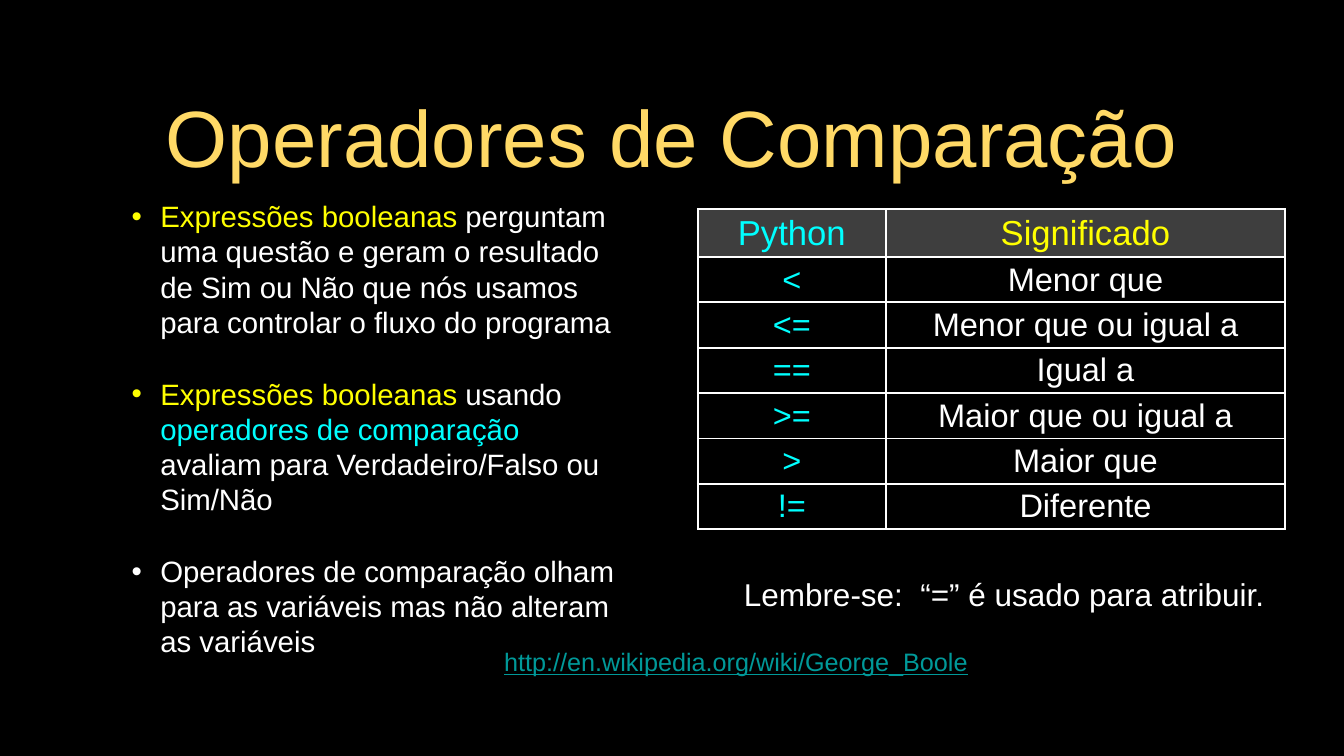
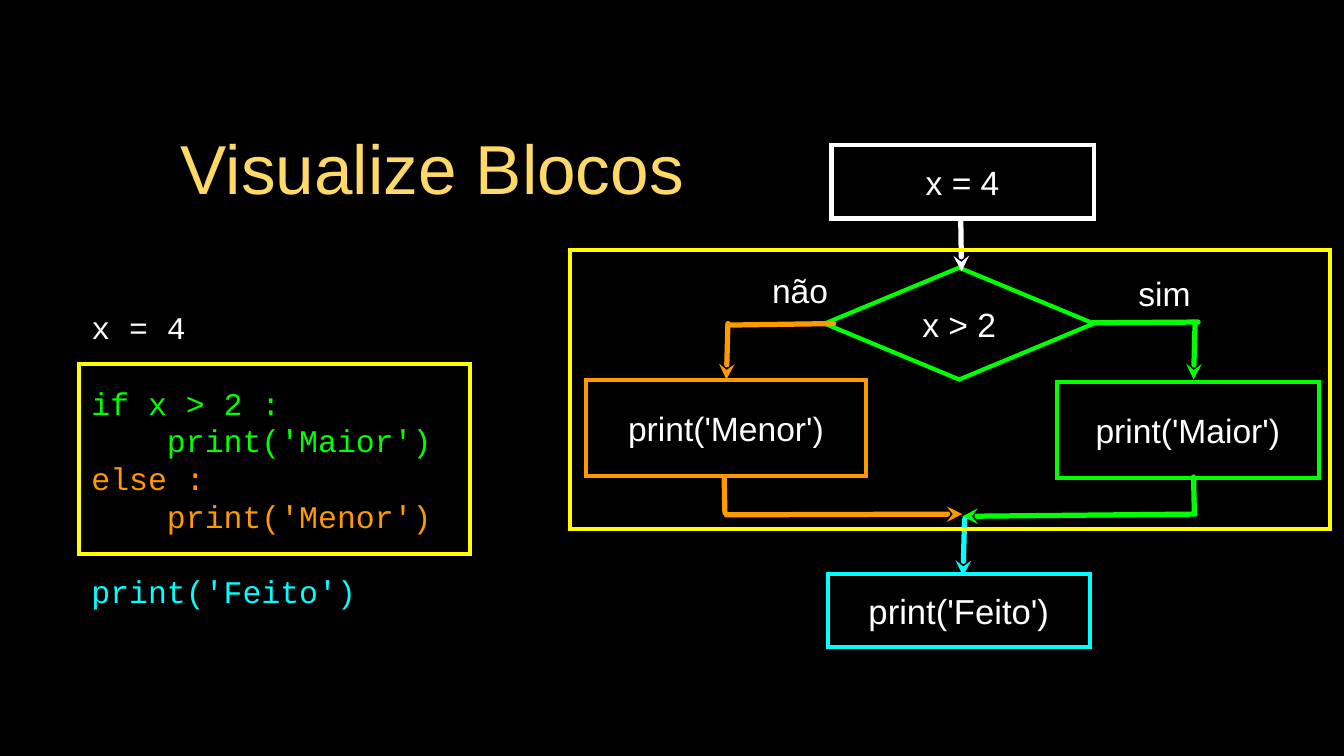
from lxml import etree
from pptx import Presentation
from pptx.dml.color import RGBColor
from pptx.enum.shapes import MSO_CONNECTOR, MSO_SHAPE
from pptx.enum.text import MSO_ANCHOR, MSO_AUTO_SIZE, PP_ALIGN
from pptx.oxml.ns import qn
from pptx.util import Inches, Pt

COLORS = {
    "background": "000000",
    "title": "FFD966",
    "text": "FFFFFF",
    "yellow": "FFFF00",
    "cyan": "00FFFF",
    "green": "00FF00",
    "orange": "FF9900",
    "link": "009999",
    "header": "7F7F7F",
}
SANS = "Arial"
MONO = "Courier New"


def rgb(color):
    return RGBColor.from_string(COLORS[color])


def style_font(font, size, color, name=SANS):
    font.name = name
    font.size = Pt(size)
    font.color.rgb = rgb(color)


def set_frame(frame, margin=0.0):
    frame.word_wrap = True
    frame.auto_size = MSO_AUTO_SIZE.NONE
    frame.vertical_anchor = MSO_ANCHOR.MIDDLE
    frame.margin_left = frame.margin_right = Inches(margin)
    frame.margin_top = frame.margin_bottom = Inches(margin)


def write_line(frame, text, size, color):
    paragraph = frame.paragraphs[0]
    paragraph.text = text
    paragraph.alignment = PP_ALIGN.CENTER
    style_font(paragraph.font, size, color)
    return paragraph


def add_titled_slide(prs, text, box, size):
    slide = prs.slides.add_slide(prs.slide_layouts[5])
    title = slide.shapes.title
    title.left, title.top, title.width, title.height = map(Inches, box)
    set_frame(title.text_frame, 0.04)
    write_line(title.text_frame, text, size, "title")
    return slide


def add_footer_band(prs, slide):
    band = slide.shapes.add_shape(
        MSO_SHAPE.RECTANGLE, *map(Inches, (0, 9.14, 17.78, 0.86)))
    band.shadow.inherit = False
    band.fill.solid()
    band.fill.fore_color.rgb = rgb("background")
    band.line.fill.background()
    prs.slide_master.shapes._spTree.append(band._element)


def add_frame(slide, box, margin=0.0):
    frame = slide.shapes.add_textbox(*map(Inches, box)).text_frame
    set_frame(frame, margin)
    return frame


def add_label(slide, box, text, size, color="text"):
    return write_line(add_frame(slide, box), text, size, color)


def next_paragraph(frame, index):
    return frame.add_paragraph() if index else frame.paragraphs[0]


def add_bullet(paragraph, color):
    props = paragraph._p.get_or_add_pPr()
    props.set("marL", str(Inches(0.82)))
    props.set("indent", str(Inches(-0.38)))
    bullet_color = etree.SubElement(props, qn("a:buClr"))
    etree.SubElement(bullet_color, qn("a:srgbClr"), val=COLORS[color])
    etree.SubElement(props, qn("a:buFont"), typeface=SANS)
    etree.SubElement(props, qn("a:buChar"), char="•")


def add_bullets(slide, box, items):
    frame = add_frame(slide, box, 0.04)
    for index, pieces in enumerate(items):
        paragraph = next_paragraph(frame, index)
        add_bullet(paragraph, pieces[0][1])
        paragraph.line_spacing = Pt(33.5)
        if index:
            paragraph.space_before = Pt(35)
        for text, color in pieces:
            run = paragraph.add_run()
            run.text = text
            style_font(run.font, 28, color)


def add_code(slide, box, lines):
    frame = add_frame(slide, box)
    for index, (text, color, starts_block) in enumerate(lines):
        paragraph = next_paragraph(frame, index)
        paragraph.text = text
        paragraph.line_spacing = Pt(35.8)
        if starts_block:
            paragraph.space_before = Pt(36)
        style_font(paragraph.font, 30, color, MONO)


def add_borders(cell):
    props = cell._tc.get_or_add_tcPr()
    for position, side in enumerate(("lnL", "lnR", "lnT", "lnB")):
        border = etree.Element(qn(f"a:{side}"), w=str(Pt(2)))
        fill = etree.SubElement(border, qn("a:solidFill"))
        etree.SubElement(fill, qn("a:srgbClr"), val=COLORS["text"])
        props.insert(position, border)


def fill_header(cell):
    cell.fill.solid()
    cell.fill.fore_color.rgb = rgb("header")
    shade = cell._tc.tcPr.find(".//" + qn("a:srgbClr"))
    etree.SubElement(shade, qn("a:alpha"), val="49000")


def add_operator_table(slide, box, rows):
    table = slide.shapes.add_table(len(rows), 2, *map(Inches, box)).table
    table.first_row = table.horz_banding = False
    for column, width in zip(table.columns, (2.49, 5.28)):
        column.width = Inches(width)
    for r, row in enumerate(rows):
        is_header = r == 0
        table.rows[r].height = Inches(0.63 if is_header else 0.6)
        meaning_color = "yellow" if is_header else "text"
        for c, (text, color) in enumerate(zip(row, ("cyan", meaning_color))):
            cell = table.cell(r, c)
            cell.margin_left = cell.margin_right = Inches(0.04)
            cell.margin_top = cell.margin_bottom = Inches(0.04)
            cell.vertical_anchor = MSO_ANCHOR.MIDDLE
            write_line(cell.text_frame, text, 33 if is_header else 31, color)
            if is_header:
                fill_header(cell)
            else:
                cell.fill.background()
            add_borders(cell)


def add_outline(slide, box, color, text="", size=32, kind=MSO_SHAPE.RECTANGLE):
    outline = slide.shapes.add_shape(kind, *map(Inches, box))
    outline.shadow.inherit = False
    outline.fill.background()
    outline.line.color.rgb = rgb(color)
    outline.line.width = Pt(4)
    etree.SubElement(outline.line._get_or_add_ln(), qn("a:miter"), lim="800000")
    if text:
        set_frame(outline.text_frame)
        write_line(outline.text_frame, text, size, "text")


def add_flow(slide, start, end, color, arrow=True):
    flow = slide.shapes.add_connector(
        MSO_CONNECTOR.STRAIGHT, *map(Inches, (*start, *end)))
    flow.line.color.rgb = rgb(color)
    flow.line.width = Pt(5)
    stroke = flow.line._get_or_add_ln()
    stroke.set("cap", "rnd")
    if arrow:
        etree.SubElement(stroke, qn("a:tailEnd"), type="stealth")
    etree.SubElement(flow._element.spPr, qn("a:effectLst"))


def build_operators(prs):
    slide = add_titled_slide(
        prs, "Operadores de Comparação", (1.26, 0.82, 15.24, 1.96), 76)
    add_footer_band(prs, slide)
    add_bullets(slide, (1.26, 2.85, 7.05, 5.64), [
        [("Expressões booleanas ", "yellow"),
         ("perguntam uma questão e geram o resultado de Sim ou Não "
          "que nós usamos para controlar o fluxo do programa", "text")],
        [("Expressões booleanas ", "yellow"), ("usando ", "text"),
         ("operadores de comparação ", "cyan"),
         ("avaliam para Verdadeiro/Falso ou Sim/Não", "text")],
        [("Operadores de comparação olham para as variáveis "
          "mas não alteram as variáveis", "text")],
    ])
    source = add_label(slide, (4.79, 8.49, 9.89, 0.53),
                       "http://en.wikipedia.org/wiki/George_Boole", 24, "link")
    source.font.underline = True
    add_label(slide, (9.57, 7.57, 7.43, 0.56),
              "Lembre-se:  “=” é usado para atribuir.", 30)
    add_operator_table(slide, (9.23, 2.77, 7.77, 4.23), [
        ("Python", "Significado"),
        ("<", "Menor que"),
        ("<=", "Menor que ou igual a"),
        ("==", "Igual a"),
        (">=", "Maior que ou igual a"),
        (">", "Maior que"),
        ("!=", "Diferente"),
    ])


def build_blocks(prs):
    slide = add_titled_slide(prs, "Visualize Blocos", (1.26, 1.23, 8.92, 1.96), 66)
    add_outline(slide, (10.91, 3.54, 3.56, 1.48), "green", "x > 2",
                kind=MSO_SHAPE.DIAMOND)
    add_outline(slide, (13.98, 5.05, 3.47, 1.27), "green", "print('Maior')")
    add_label(slide, (14.96, 3.6, 0.89, 0.56), "sim", 32)
    add_label(slide, (10.18, 3.6, 0.81, 0.48), "não", 32)
    add_outline(slide, (11, 1.92, 3.47, 0.97), "text", "x = 4")
    for start, end, color, arrow in (
        ((14.45, 4.27), (15.85, 4.26), "green", False),
        ((15.81, 4.28), (15.79, 5.02), "green", True),
        ((15.79, 6.31), (15.8, 6.77), "green", False),
        ((15.81, 6.8), (12.73, 6.83), "green", True),
        ((12.71, 2.9), (12.72, 3.59), "text", True),
        ((11.03, 4.28), (9.63, 4.3), "orange", False),
        ((9.63, 4.28), (9.61, 5.02), "orange", True),
        ((9.58, 6.32), (9.59, 6.78), "orange", False),
        ((9.61, 6.81), (12.73, 6.8), "orange", True),
        ((12.76, 6.87), (12.74, 7.62), "cyan", True),
    ):
        add_flow(slide, start, end, color, arrow)
    add_outline(slide, (10.95, 7.59, 3.47, 0.97), "cyan", "print('Feito')", 33)
    add_code(slide, (1.21, 3.88, 5.26, 4.39), [
        ("x = 4", "text", False),
        ("if x > 2 :", "green", True),
        ("    print('Maior')", "green", False),
        ("else :", "orange", False),
        ("    print('Menor')", "orange", False),
        ("print('Feito')", "cyan", True),
    ])
    add_outline(slide, (7.75, 5.03, 3.71, 1.27), "orange", "print('Menor')")
    add_outline(slide, (1.05, 4.82, 5.17, 2.51), "yellow")
    add_outline(slide, (7.54, 3.31, 10.05, 3.69), "yellow")


def main():
    prs = Presentation()
    prs.slide_width, prs.slide_height = Inches(17.78), Inches(10)
    backdrop = prs.slide_master.background.fill
    backdrop.solid()
    backdrop.fore_color.rgb = rgb("background")
    build_operators(prs)
    build_blocks(prs)
    prs.save("out.pptx")


if __name__ == "__main__":
    main()
